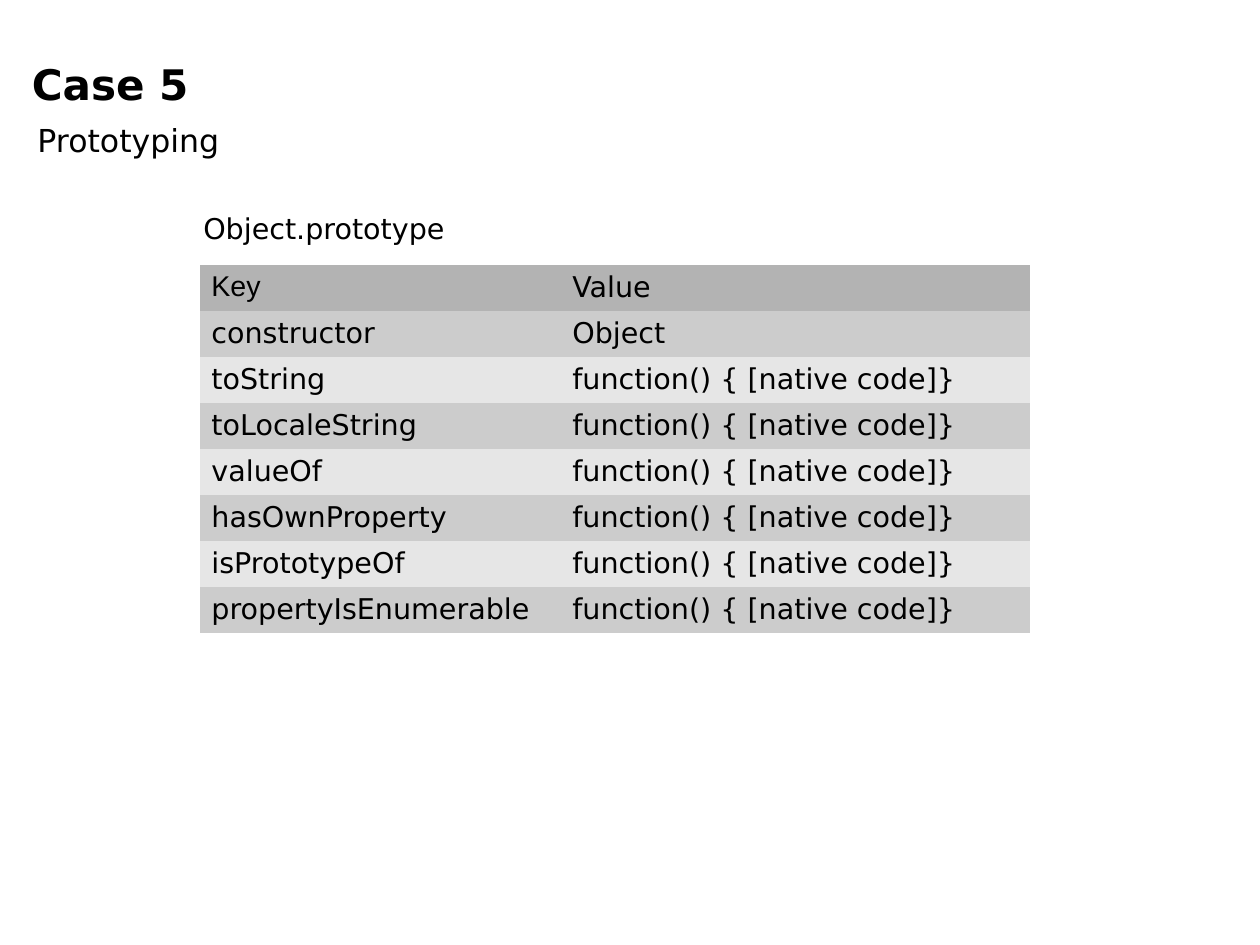
from dataclasses import dataclass

from pptx import Presentation
from pptx.dml.color import RGBColor
from pptx.enum.text import MSO_ANCHOR
from pptx.oxml.ns import qn
from pptx.util import Cm, Inches, Pt


@dataclass(frozen=True)
class Theme:
    font: str = "DejaVu Sans"
    key_font: str = "Arial"
    title_size: float = 26.5
    subtitle_size: float = 19.9
    body_size: float = 18
    text: RGBColor = RGBColor(0x00, 0x00, 0x00)
    header_fill: RGBColor = RGBColor(0xB3, 0xB3, 0xB3)
    band_fills: tuple = (RGBColor(0xCC, 0xCC, 0xCC), RGBColor(0xE6, 0xE6, 0xE6))


THEME = Theme()
NO_GRID_STYLE = "{2D5ABB26-0587-4C30-8999-92F81FD0307C}"
NATIVE = "function() { [native code]}"
METHODS = ["toString", "toLocaleString", "valueOf", "hasOwnProperty",
           "isPrototypeOf", "propertyIsEnumerable"]
PROTOTYPE_ROWS = [("Key", "Value"), ("constructor", "Object"),
                  *((method, NATIVE) for method in METHODS)]


def style_paragraph(paragraph, size, font=THEME.font, bold=False):
    paragraph.font.name = font
    paragraph.font.size = Pt(size)
    paragraph.font.bold = bold
    paragraph.font.color.rgb = THEME.text


def add_label(slide, box, text, size, bold=False, anchor=MSO_ANCHOR.TOP, wrap=True):
    shape = slide.shapes.add_textbox(*map(Inches, box))
    frame = shape.text_frame
    frame.word_wrap = wrap
    frame.vertical_anchor = anchor
    paragraph = frame.paragraphs[0]
    paragraph.text = text
    style_paragraph(paragraph, size, bold=bold)


def add_heading(slide, box):
    left, top, width, height = box
    add_label(slide, box, "Case 5", THEME.title_size, bold=True)
    add_label(slide, (left + 0.05, top + 0.55, width - 0.08, 0.43), "Prototyping",
              THEME.subtitle_size, anchor=MSO_ANCHOR.MIDDLE)


def row_fill(row_index):
    if row_index == 0:
        return THEME.header_fill
    return THEME.band_fills[(row_index - 1) % len(THEME.band_fills)]


def add_property_table(slide, box, rows, key_share=0.435):
    left, top, width, height = box
    table = slide.shapes.add_table(len(rows), 2, *map(Inches, box)).table
    table.first_row = table.horz_banding = False
    table._tbl.tblPr.find(qn("a:tableStyleId")).text = NO_GRID_STYLE
    for column, share in zip(table.columns, (key_share, 1 - key_share)):
        column.width = Inches(width * share)
    for row_index, values in enumerate(rows):
        for column_index, value in enumerate(values):
            cell = table.cell(row_index, column_index)
            cell.fill.solid()
            cell.fill.fore_color.rgb = row_fill(row_index)
            paragraph = cell.text_frame.paragraphs[0]
            paragraph.text = value
            font = THEME.key_font if value == "Key" else THEME.font
            style_paragraph(paragraph, THEME.body_size, font)
    add_label(slide, (left - 0.07, top - 0.52, 2.31, 0.4), "Object.prototype",
              THEME.body_size, wrap=False)


def main():
    presentation = Presentation()
    presentation.slide_width = Cm(28)
    presentation.slide_height = Cm(21)
    slide = presentation.slides.add_slide(presentation.slide_layouts[6])
    add_heading(slide, (0.18, 0.46, 10.55, 0.91))
    add_property_table(slide, (1.75, 2.32, 7.26, 3.22), PROTOTYPE_ROWS)
    presentation.save("out.pptx")


if __name__ == "__main__":
    main()
